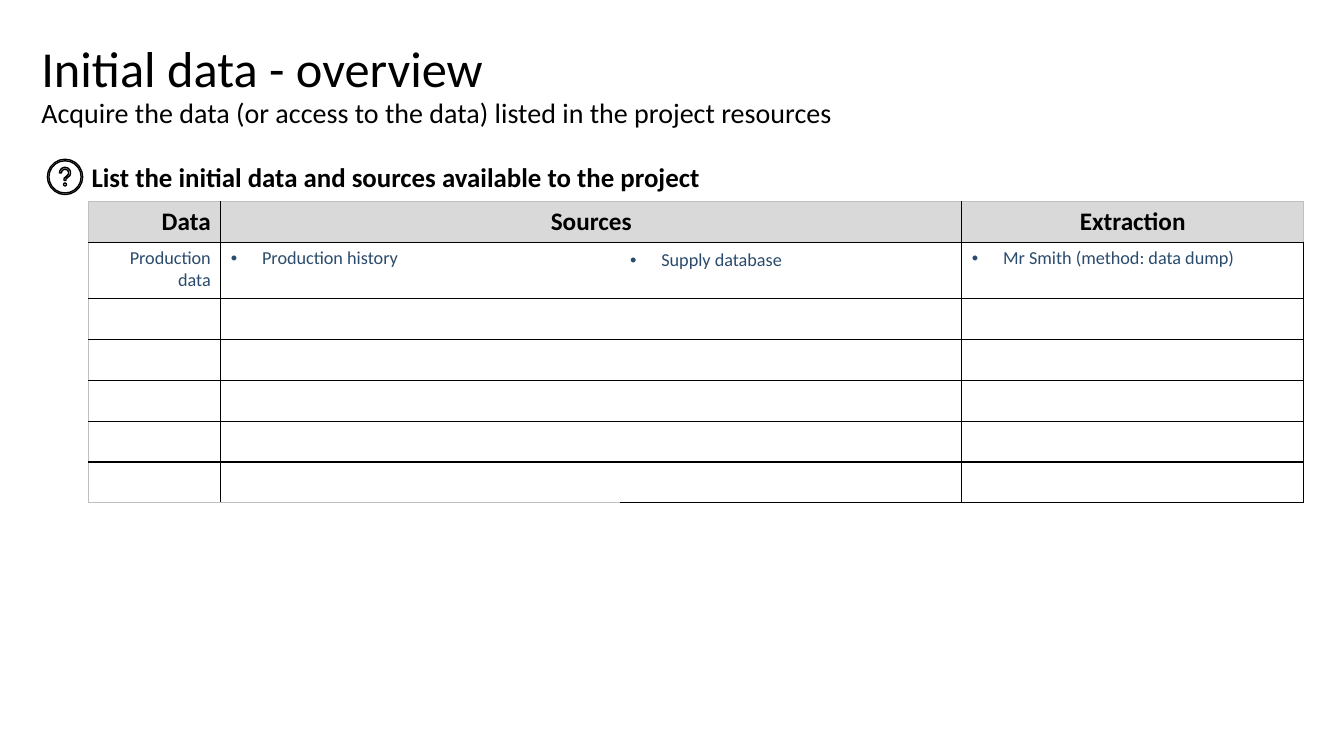
import math
from pptx import Presentation
from pptx import util as u
from pptx.dml.color import RGBColor
from pptx.enum import text
from pptx.oxml.ns import qn
from lxml import etree

COLORS = {"black": "000000", "white": "FFFFFF", "header": "D9D9D9",
          "edge": "BFBFBF", "entry": "2A4B6D"}
FONT = "Calibri"
COLUMNS = [1.31, 3.96, 3.39, 3.39]
HEADER = ["Data", "Sources", "", "Extraction"]
ENTRY = ["Production data", "Production history", "Supply database",
         "Mr Smith (method: data dump)"]
ROWS = [HEADER, ENTRY] + [[""] * 4] * 5
ENTRY_H = 0.56
RIGHT, CENTER = text.PP_ALIGN.RIGHT, text.PP_ALIGN.CENTER


def color(name):
    return RGBColor.from_string(COLORS[name])


def style(p, size, name="black", bold=False):
    p.font.name, p.font.size, p.font.bold = FONT, u.Pt(size), bold
    p.font.color.rgb = color(name)


def text_box(slide, x, y, w, h):
    tf = slide.shapes.add_textbox(*map(u.Inches, (x, y, w, h))).text_frame
    tf.word_wrap = True
    return tf


def add_title(slide, x, y, w, h):
    tf = text_box(slide, x, y, w, h)
    tf.margin_left = tf.margin_right = tf.margin_top = tf.margin_bottom = 0
    lines = [("Initial data - overview", 36),
             ("Acquire the data (or access to the data) listed in the project resources", 20)]
    for i, (line, size) in enumerate(lines):
        p = tf.add_paragraph() if i else tf.paragraphs[0]
        p.text, p.line_spacing = line, 0.9
        style(p, size)


def add_heading(slide, x, y, w, h):
    p = text_box(slide, x, y, w, h).paragraphs[0]
    p.text = "List the initial data and sources available to the project"
    p.line_spacing = 1.06
    style(p, 19.2, bold=True)


def arc(cx, cy, radius, start=0, end=360, steps=20):
    angles = [math.radians(start + (end - start) * i / steps) for i in range(steps + 1)]
    return [(cx + radius * math.cos(a), cy + radius * math.sin(a)) for a in angles]


def add_question_icon(slide, x, y, size):
    units = 10000
    cx = cy = size / 2
    hook_y = cy - 0.04
    hook = (arc(cx, hook_y, 0.055, 180, 390, 10)
            + [(cx + 0.01, cy + 0.02), (cx + 0.01, cy + 0.035),
               (cx - 0.01, cy + 0.035), (cx - 0.01, cy + 0.015)]
            + arc(cx, hook_y, 0.035, 390, 180, 10))
    contours = [arc(cx, cy, size / 2), arc(cx, cy, size / 2 - 0.015, 360, 0),
                hook, arc(cx, cy + 0.075, 0.015, steps=8)]
    contours = [[(px * units, py * units) for px, py in points] for points in contours]
    builder = slide.shapes.build_freeform(*contours[0][0], scale=u.Inches(1) / units)
    for i, points in enumerate(contours):
        if i:
            builder.move_to(*points[0])
        builder.add_line_segments(points[1:], close=True)
    sp = builder.convert_to_shape(u.Inches(x), u.Inches(y))
    sp.shadow.inherit = False
    sp.fill.solid()
    sp.fill.fore_color.rgb = color("white")
    sp.line.color.rgb = color("black")
    sp.line.width = u.Pt(1)


def set_borders(cell, edges):
    tc_pr = cell._tc.get_or_add_tcPr()
    for i, side in enumerate("LRTB"):
        ln = etree.Element(qn("a:ln" + side), w=str(u.Pt(1)))
        if edges[side]:
            fill = etree.SubElement(ln, qn("a:solidFill"))
            etree.SubElement(fill, qn("a:srgbClr"), val=COLORS[edges[side]])
        else:
            etree.SubElement(ln, qn("a:noFill"))
        tc_pr.insert(i, ln)


def cell_edges(row, col):
    last = len(ROWS) - 1
    return {"L": "edge" if col == 0 else None if col == 2 else "black",
            "R": None if col == 1 else "edge" if (row, col) == (0, 3) else "black",
            "T": "edge" if row == 0 else "black",
            "B": "edge" if row == last and col < 2 else "black"}


def add_bullet(p):
    p_pr = p._p.get_or_add_pPr()
    p_pr.set("marL", str(u.Inches(0.31)))
    p_pr.set("indent", str(-u.Inches(0.31)))
    etree.SubElement(p_pr, qn("a:buFont"), typeface="Arial")
    etree.SubElement(p_pr, qn("a:buChar"), char="•")


def add_data_table(slide, x, y, h):
    row_h = (h - ENTRY_H) / (len(ROWS) - 1)
    frame = slide.shapes.add_table(len(ROWS), len(COLUMNS), *map(
        u.Inches, (x, y, sum(COLUMNS), h)))
    table = frame.table
    for column, width in zip(table.columns, COLUMNS):
        column.width = u.Inches(width)
    for r, values in enumerate(ROWS):
        table.rows[r].height = u.Inches(ENTRY_H if r == 1 else row_h)
        for c, value in enumerate(values):
            cell = table.cell(r, c)
            p = cell.text_frame.paragraphs[0]
            p.text = value
            if c == 0:
                p.alignment = RIGHT
            elif r == 0:
                p.alignment = CENTER
            elif value:
                if c == 2:
                    p.line_spacing = 1.1
                add_bullet(p)
            if r == 0:
                style(p, 18, bold=True)
                cell.fill.solid()
                cell.fill.fore_color.rgb = color("header")
            else:
                style(p, 13, "entry")
                cell.fill.background()
            set_borders(cell, cell_edges(r, c))
    table.cell(0, 1).merge(table.cell(0, 2))


def main():
    prs = Presentation()
    prs.slide_width, prs.slide_height = u.Inches(13.33), u.Inches(7.5)
    s = prs.slides.add_slide(prs.slide_layouts[6])
    add_title(s, 0.41, 0.44, 12.52, 0.71)
    add_heading(s, 0.81, 1.53, 11.9, 0.71)
    add_question_icon(s, 0.47, 1.58, 0.35)
    add_data_table(s, 0.88, 2, 2.99)
    prs.save("out.pptx")


if __name__ == "__main__":
    main()
